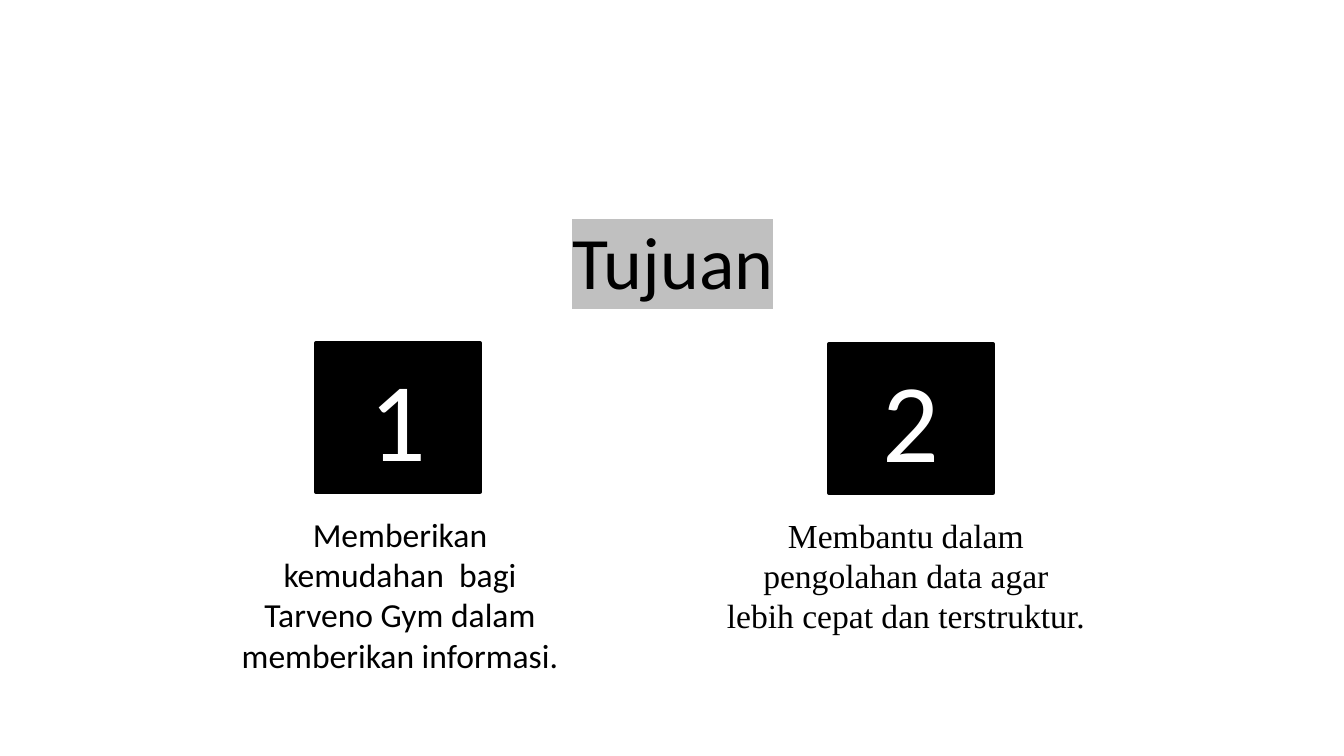
from lxml.etree import SubElement
from pptx import Presentation
from pptx.dml.color import RGBColor
from pptx.enum.shapes import MSO_SHAPE as Shape
from pptx.enum.text import MSO_ANCHOR as Anchor, PP_ALIGN as Align
from pptx.oxml.ns import qn
from pptx.util import Pt

PX = 914400 / 134.4
BLACK = RGBColor(0, 0, 0)
WHITE = RGBColor(255, 255, 255)
GRAY = RGBColor(192, 192, 192)


def px(*nums):
    return [round(n * PX) for n in nums]


def write(shape, text, size, font="Calibri", color=BLACK, anchor=Anchor.TOP, mark=None):
    frame = shape.text_frame
    frame.word_wrap = True
    frame.vertical_anchor = anchor
    par = frame.paragraphs[0]
    par.alignment = Align.CENTER
    run = par.add_run()
    run.text = text
    run.font.size = Pt(size)
    run.font.color.rgb = color
    if mark:
        light = SubElement(run.font.fill._xPr, qn("a:highlight"))
        SubElement(light, qn("a:srgbClr"), val=str(mark))
    run.font.name = font


deck = Presentation()
deck.slide_width, deck.slide_height = px(1344, 756)
slide = deck.slides.add_slide(deck.slide_layouts[5])
slide.background.fill.solid()
slide.background.fill.fore_color.rgb = WHITE

title = slide.shapes.title
title.left, title.top, title.width, title.height = px(359, 215, 628, 90)
write(title, "Tujuan", 39.6, anchor=Anchor.MIDDLE, mark=GRAY)

goals = [
    ("1", (316, 343), (218, 507, 364, 176), "Calibri",
     "Memberikan kemudahan  bagi Tarveno Gym dalam memberikan informasi."),
    ("2", (829, 344), (713, 508, 386, 218), "Times New Roman",
     "Membantu dalam pengolahan data agar lebih cepat dan terstruktur."),
]
for num, spot, area, font, text in goals:
    tile = slide.shapes.add_shape(Shape.RECTANGLE, *px(*spot, 164, 149))
    tile.shadow.inherit = False
    tile.fill.solid()
    tile.fill.fore_color.rgb = BLACK
    tile.line.color.rgb = BLACK
    tile.line.width = Pt(2)
    write(tile, num, 60, color=WHITE)
    note = slide.shapes.add_textbox(*px(*area))
    write(note, text, 18, font=font)

deck.save("out.pptx")
